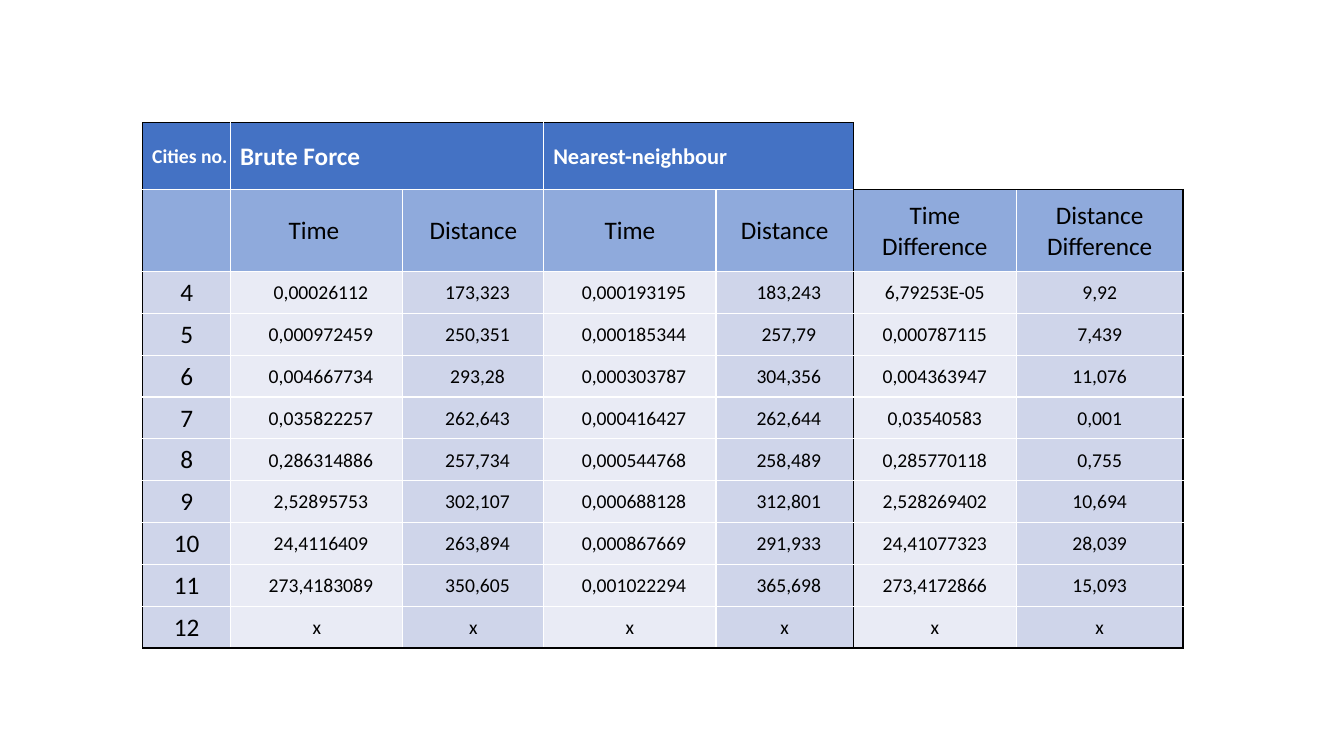
from dataclasses import dataclass

from lxml import etree
from pptx import Presentation
from pptx import util as u
from pptx.dml import color as dml
from pptx.enum import text as t
from pptx.oxml import ns

Pt = u.Pt


@dataclass(frozen=True)
class Theme:
    font: str = "Calibri"
    head: str = "4472C4"
    sub: str = "8FAADC"
    pale: str = "E9EBF5"
    tint: str = "CFD5EA"
    dark: str = "000000"
    light: str = "FFFFFF"
    big: int = 18
    mid: int = 16
    small: int = 14
    rule: int = 1
    pad: float = 0.75
    indent: float = 6.75


@dataclass(frozen=True)
class Head:
    col: int
    span: int
    label: str
    size: int


LOOK = Theme()
LEFT, TOP = 102, 87.7
WIDTHS = [62.8, 123, 100.7, 123, 98.1, 116.5, 119]
SPLIT = 5
HEADS = [
    Head(0, 1, "Cities no.", LOOK.small),
    Head(1, 2, "Brute Force", LOOK.big),
    Head(3, 2, "Nearest-neighbour", LOOK.mid),
]
SUBS = ["", "Time ", "Distance", "Time", "Distance",
        "Time Difference", "Distance Difference"]
DATA = [
    ["4", "0,00026112", "173,323", "0,000193195", "183,243", "6,79253E-05", "9,92"],
    ["5", "0,000972459", "250,351", "0,000185344", "257,79", "0,000787115", "7,439"],
    ["6", "0,004667734", "293,28", "0,000303787", "304,356", "0,004363947", "11,076"],
    ["7", "0,035822257", "262,643", "0,000416427", "262,644", "0,03540583", "0,001"],
    ["8", "0,286314886", "257,734", "0,000544768", "258,489", "0,285770118", "0,755"],
    ["9", "2,52895753", "302,107", "0,000688128", "312,801", "2,528269402", "10,694"],
    ["10", "24,4116409", "263,894", "0,000867669", "291,933", "24,41077323", "28,039"],
    ["11", "273,4183089", "350,605", "0,001022294", "365,698", "273,4172866", "15,093"],
    ["12"] + ["x"] * 6,
]
HEIGHTS = [47.6, 58.7] + [29.9] * len(DATA)
ROWS, COLS = len(HEIGHTS), len(WIDTHS)


def write(cell, label: str, *, size: int, color: str = LOOK.dark,
          bold: bool = False, align=t.PP_ALIGN.CENTER,
          indent: float = LOOK.pad) -> None:
    cell.vertical_anchor = t.MSO_ANCHOR.MIDDLE
    cell.margin_left = Pt(indent)
    cell.margin_top = cell.margin_right = Pt(LOOK.pad)
    cell.margin_bottom = 0
    if not label:
        return
    para = cell.text_frame.paragraphs[0]
    para.alignment = align
    run = para.add_run()
    run.text = label
    run.font.name = LOOK.font
    run.font.size = Pt(size)
    run.font.bold = bold
    run.font.color.rgb = dml.RGBColor.from_string(color)


def paint(cell, color: str) -> None:
    cell.fill.solid()
    cell.fill.fore_color.rgb = dml.RGBColor.from_string(color)


def border(cell, row: int, col: int, span: int = 1) -> None:
    def upright(edge: int) -> bool:
        return edge in (0, SPLIT) or (edge == COLS and row > 0)

    def level(edge: int) -> bool:
        return edge == ROWS or edge == (0 if col < SPLIT else 1)

    sides = {"L": upright(col), "R": upright(col + span),
             "T": level(row), "B": level(row + 1)}
    props = cell._tc.get_or_add_tcPr()
    for spot, (side, dark) in enumerate(sides.items()):
        line = etree.Element(ns.qn(f"a:ln{side}"), w=str(Pt(LOOK.rule)))
        fill = etree.SubElement(line, ns.qn("a:solidFill"))
        etree.SubElement(fill, ns.qn("a:srgbClr"),
                         val=LOOK.dark if dark else LOOK.light)
        props.insert(spot, line)


def tone(row: int, col: int) -> str:
    if row == 0:
        return LOOK.head
    if row == 1:
        return LOOK.sub
    return LOOK.pale if col % 2 else LOOK.tint


def build(slide) -> None:
    frame = slide.shapes.add_table(ROWS, COLS, Pt(LEFT), Pt(TOP),
                                   Pt(sum(WIDTHS)), Pt(sum(HEIGHTS)))
    grid = frame.table
    grid.first_row = grid.horz_banding = False
    for col, width in zip(grid.columns, WIDTHS):
        col.width = Pt(width)
    for row, height in zip(grid.rows, HEIGHTS):
        row.height = Pt(height)

    spans = {(0, head.col): head.span for head in HEADS}
    for row in range(ROWS):
        for col in range(COLS):
            cell = grid.cell(row, col)
            if row == 0 and col >= SPLIT:
                cell.fill.background()
            else:
                paint(cell, tone(row, col))
            border(cell, row, col, spans.get((row, col), 1))

    for head in HEADS:
        cell = grid.cell(0, head.col)
        if head.span > 1:
            cell.merge(grid.cell(0, head.col + head.span - 1))
        write(cell, head.label, size=head.size, color=LOOK.light, bold=True,
              align=t.PP_ALIGN.LEFT, indent=LOOK.indent)

    for row, labels in enumerate([SUBS] + DATA, 1):
        for col, label in enumerate(labels):
            large = row == 1 or col == 0
            inset = 1 < row < ROWS - 1 and 0 < col < SPLIT
            write(grid.cell(row, col), label,
                  size=LOOK.big if large else LOOK.small,
                  indent=LOOK.indent if inset else LOOK.pad)


deck = Presentation()
deck.slide_width, deck.slide_height = Pt(960), Pt(540)
build(deck.slides.add_slide(deck.slide_layouts[6]))
deck.save("out.pptx")
